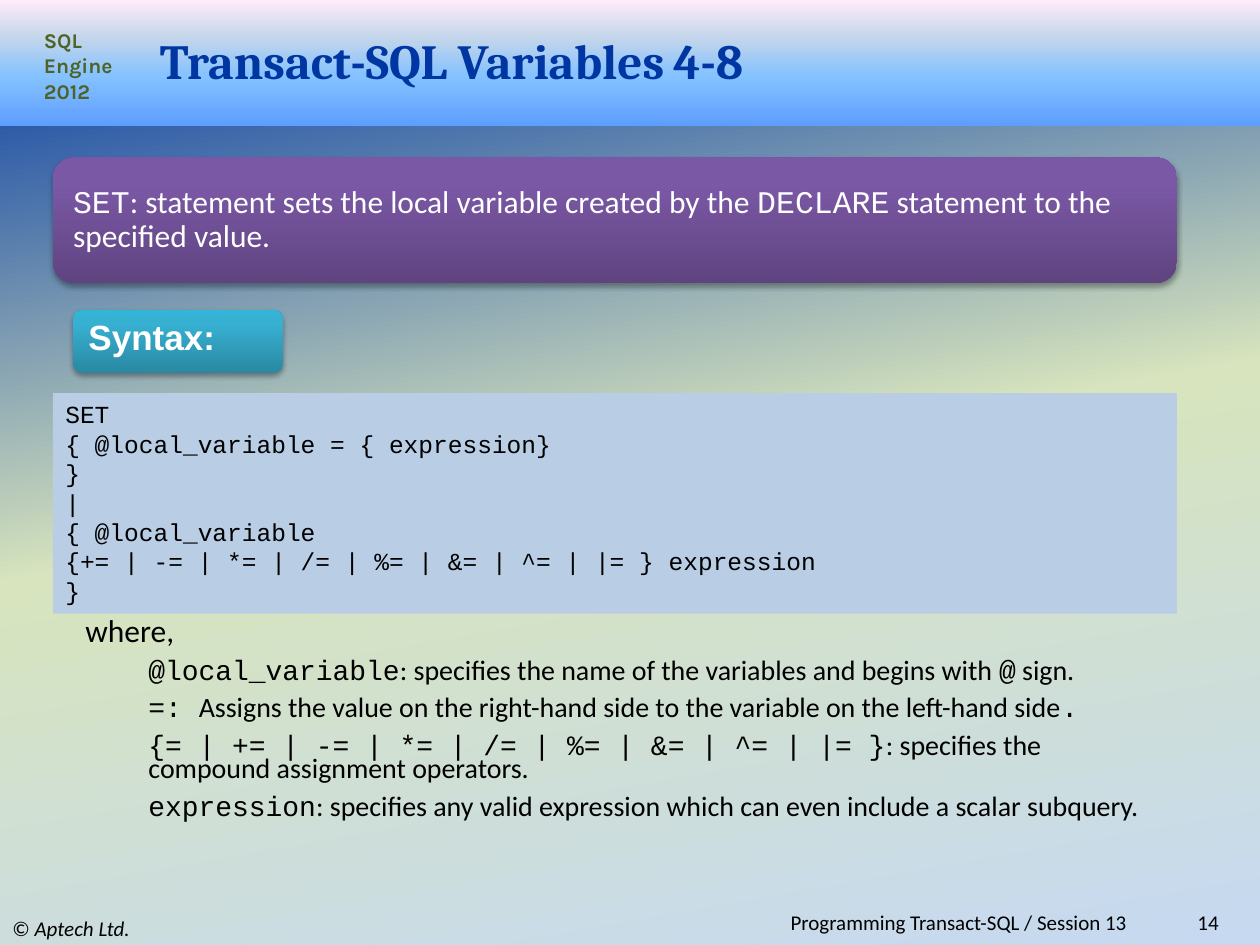
from lxml.etree import SubElement
from pptx import Presentation
from pptx.dml.color import RGBColor
from pptx.enum.shapes import MSO_SHAPE as Shape
from pptx.enum.text import MSO_ANCHOR as Anchor, PP_ALIGN as Align
from pptx.oxml.ns import qn
from pptx.util import Inches, Pt

WIDTH, HEIGHT = 10, 7.5
PANEL_LEFT, PANEL_WIDTH = 0.42, 8.92
FOOTER_TOP = 7.23
BODY, CODE = "Calibri", "Courier New"

BACKDROP = [(0, "0036A2"), (50, "D7E4BD"), (100, "C6D9F1")]
BANNER = [(0, "5E9EFF"), (40, "85C2FF"), (70, "C4D6EB"), (100, "FFEBFA")]
PURPLE = [(0, "5F4480"), (80, "7B58A6"), (100, "7C57A8")]
TEAL = [(0, "2A88A2"), (80, "37B1D2"), (100, "34B4D6")]

TITLE = [("Transact-SQL Variables", 28), (" ", 24), ("4-8", 28)]
SUMMARY = [
    ("SET", CODE),
    (": statement sets the local variable created by the ", BODY),
    ("DECLARE", CODE),
    (" statement to the specified value.", BODY),
]
SYNTAX = [
    "SET",
    "{ @local_variable = { expression}",
    "}",
    "|",
    "{ @local_variable",
    "{+= | -= | *= | /= | %= | &= | ^= | |= } expression",
    "}",
]
TERMS = [
    [("@local_variable", CODE),
     (": specifies the name of the variables and begins with ", BODY),
     ("@", CODE), (" sign.", BODY)],
    [("=: ", CODE),
     ("Assigns the value on the right-hand side to the variable on the left-hand side", BODY),
     (".", CODE)],
    [("{= | += | -= | *= | /= | %= | &= | ^= | |= }", CODE),
     (": specifies the compound assignment operators.", BODY)],
    [("expression", CODE),
     (": specifies any valid expression which can even include a scalar subquery.", BODY)],
]
FOOTERS = [
    (0, 3.33, 0.27, Align.LEFT, [("© ", False), ("Aptech Ltd.", True)]),
    (8.92, 0.85, 0.18, Align.RIGHT, [("14", False)]),
    (2.5, 6.58, 0.18, Align.RIGHT, [("Programming Transact-SQL / Session 13 ", False)]),
]


def rgb(value):
    return RGBColor.from_string(value)


def set_gradient(fill, element, stops, angle):
    fill.gradient()
    gradient = element.find(".//" + qn("a:gradFill"))
    stop_list = gradient.find(qn("a:gsLst"))
    for stop in list(stop_list):
        stop_list.remove(stop)
    for position, color in stops:
        stop = SubElement(stop_list, qn("a:gs"), pos=str(position * 1000))
        SubElement(stop, qn("a:srgbClr"), val=color)
    linear = gradient.find(qn("a:lin"))
    linear.set("ang", str(angle * 60000))
    linear.set("scaled", "0")


def add_panel(preset, left, top, width, height, paint, shadowed=False):
    panel = slide.shapes.add_shape(
        preset, Inches(left), Inches(top), Inches(width), Inches(height))
    panel.line.fill.background()
    panel.shadow.inherit = False
    if isinstance(paint, str):
        panel.fill.solid()
        panel.fill.fore_color.rgb = rgb(paint)
    else:
        set_gradient(panel.fill, panel._element, paint, 270)
    if shadowed:
        effects = panel._element.spPr.find(qn("a:effectLst"))
        shadow = SubElement(effects, qn("a:outerShdw"), blurRad=str(Pt(3.1)),
                            dist=str(Pt(1.8)), dir="5400000", rotWithShape="0")
        color = SubElement(shadow, qn("a:srgbClr"), val="000000")
        SubElement(color, qn("a:alpha"), val="35000")
    return panel


def add_text(left, top, width, height, anchor=Anchor.TOP):
    box = slide.shapes.add_textbox(
        Inches(left), Inches(top), Inches(width), Inches(height))
    return prepare(box, anchor)


def prepare(shape, anchor):
    frame = shape.text_frame
    frame.word_wrap = True
    frame.vertical_anchor = anchor
    return frame


def add_paragraph(frame, spacing=None, before=None, align=Align.LEFT, margin=0, hanging=0):
    first = frame.paragraphs[0]
    paragraph = frame.add_paragraph() if first.runs else first
    paragraph.alignment = align
    if spacing:
        paragraph.line_spacing = spacing
    if before:
        paragraph.space_before = Pt(before)
    if margin:
        properties = paragraph._p.get_or_add_pPr()
        properties.set("marL", str(Inches(margin)))
        properties.set("indent", str(-Inches(hanging)))
    return paragraph


def add_run(paragraph, text, size, face=BODY, color="000000", bold=False, italic=False):
    run = paragraph.add_run()
    run.text = text
    font = run.font
    font.size, font.name, font.bold, font.italic = Pt(size), face, bold, italic
    font.color.rgb = rgb(color)
    return run


def outline(run, color, width, alpha):
    properties = run._r.get_or_add_rPr()
    line = SubElement(properties, qn("a:ln"), w=str(Pt(width)))
    properties.insert(0, line)
    solid = SubElement(line, qn("a:solidFill"))
    tint = SubElement(solid, qn("a:srgbClr"), val=color)
    SubElement(tint, qn("a:alpha"), val=str(alpha * 1000))


deck = Presentation()
deck.slide_width, deck.slide_height = Inches(WIDTH), Inches(HEIGHT)
slide = deck.slides.add_slide(deck.slide_layouts[6])
set_gradient(slide.background.fill, slide.element, BACKDROP, 80)

add_panel(Shape.RECTANGLE, 0, 0, WIDTH, 1, BANNER)
course = add_paragraph(add_text(0.25, 0.17, 0.75, 0.71))
add_run(course, "SQL Engine 2012", 12, "Karla", "4F6228", bold=True)

heading = add_paragraph(add_text(1.17, 0.25, 8.33, 0.45, Anchor.MIDDLE))
for text, size in TITLE:
    outline(add_run(heading, text, size, "Cambria", "0036A2", bold=True), "C00000", 0.07, 55)

for left, width, height, align, parts in FOOTERS:
    footer = add_paragraph(
        add_text(left, FOOTER_TOP, width, height, Anchor.MIDDLE), align=align)
    for text, italic in parts:
        add_run(footer, text, 12, italic=italic)

add_panel(Shape.ROUNDED_RECTANGLE, PANEL_LEFT, 1.25, PANEL_WIDTH, 1, PURPLE, True)
summary_frame = add_text(0.5, 1.3, 8.75, 0.9, Anchor.MIDDLE)
summary_frame.margin_left = summary_frame.margin_right = Inches(0.08)
summary_frame.margin_top = summary_frame.margin_bottom = Inches(0.08)
summary = add_paragraph(summary_frame, spacing=0.9)
for text, face in SUMMARY:
    add_run(summary, text, 18, face, "FFFFFF")

syntax_panel = add_panel(Shape.RECTANGLE, PANEL_LEFT, 3.12, PANEL_WIDTH, 1.75, "B9CDE5")
syntax_frame = prepare(syntax_panel, Anchor.TOP)
for code_line in SYNTAX:
    add_run(add_paragraph(syntax_frame, margin=0.37, hanging=0.37), code_line, 14, CODE)

label_panel = add_panel(Shape.ROUNDED_RECTANGLE, 0.58, 2.46, 1.67, 0.5, TEAL, True)
label = add_paragraph(prepare(label_panel, Anchor.MIDDLE), spacing=0.7)
add_run(label, "Syntax:", 20, "Arial", "FFFFFF", bold=True)

terms_frame = add_text(0.58, 4.88, 8.58, 1.79)
add_run(add_paragraph(terms_frame, spacing=0.7), "where,", 18)
for term in TERMS:
    entry = add_paragraph(terms_frame, spacing=0.7, before=8, margin=0.5)
    for text, face in term:
        add_run(entry, text, 16, face)

deck.save("out.pptx")
